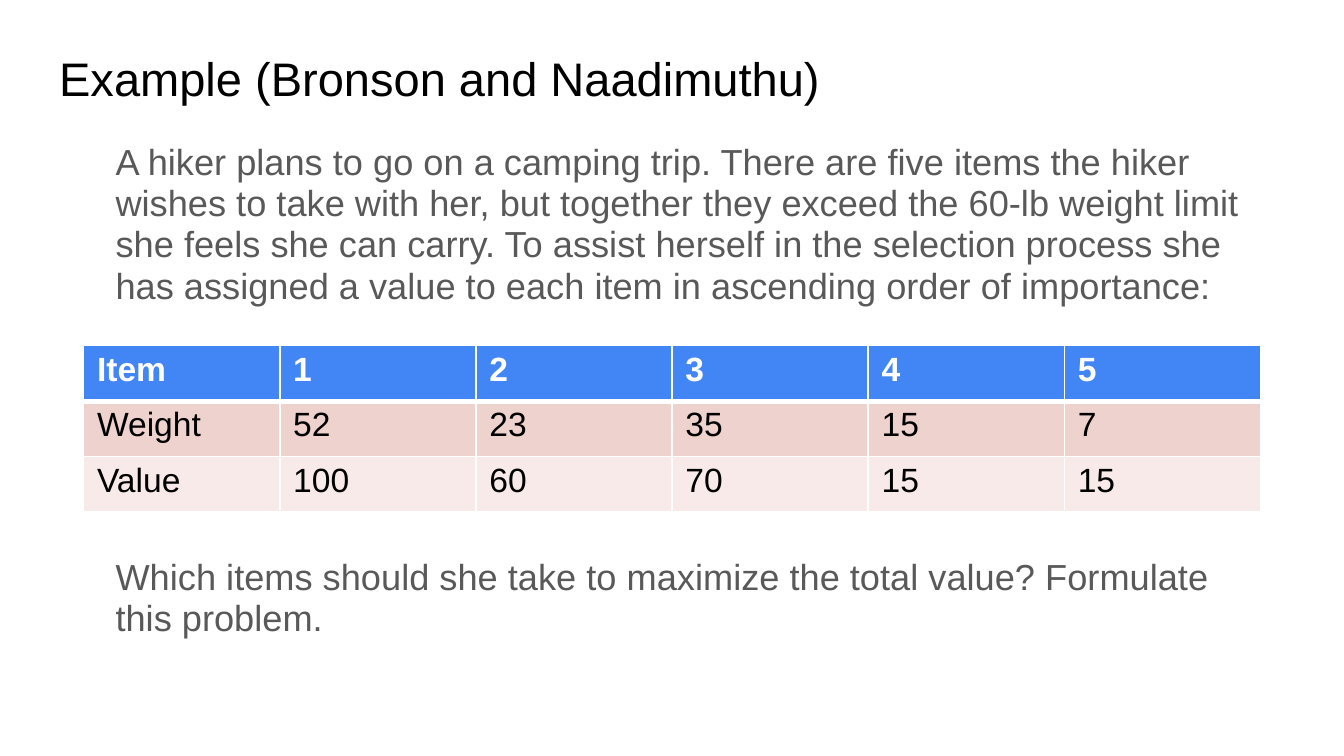
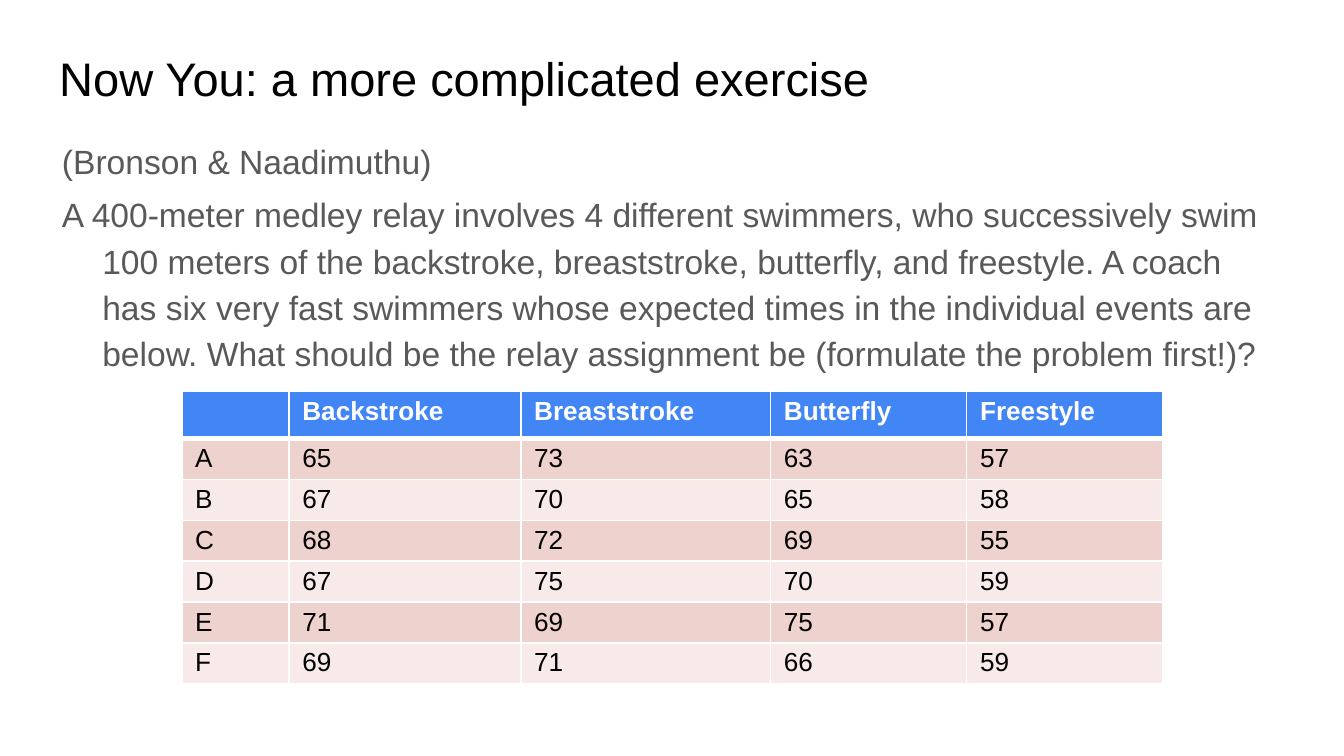
from dataclasses import dataclass

from lxml.etree import SubElement
from pptx import Presentation
from pptx.dml.color import RGBColor
from pptx.enum.text import MSO_ANCHOR, MSO_AUTO_SIZE, PP_ALIGN
from pptx.oxml.ns import qn
from pptx.util import Pt


@dataclass(frozen=True)
class Theme:
    font: str = "Arial"
    ink: str = "000000"
    grey: str = "595959"
    white: str = "FFFFFF"
    head: str = "4285F4"
    bands: tuple[str, str] = ("EED2CE", "F7EAE8")
    title: float = 25.2
    lead: float = 19.4
    text: float = 18
    small: float = 14
    thin: float = 1
    thick: float = 3


THEME = Theme()


@dataclass(frozen=True)
class Box:
    left: float
    top: float
    width: float
    height: float


@dataclass(frozen=True)
class Para:
    text: str
    margin: float
    indent: float = 0
    before: float = 0


@dataclass(frozen=True)
class Body:
    box: Box
    size: float
    line: float
    paras: tuple[Para, ...]


@dataclass(frozen=True)
class Grid:
    left: float
    top: float
    cols: tuple[float, ...]
    head: float
    row: float
    size: float
    cells: tuple[tuple[str, ...], ...]


@dataclass(frozen=True)
class Page:
    title: str
    body: Body
    grid: Grid


TITLE = Box(24.5, 26.6, 671, 33.8)

PAGES = (
    Page(
        "Example (Bronson and Naadimuthu)",
        Body(Box(18.7, 72.7, 669.6, 280.8), THEME.lead, 0.95, (
            Para("A hiker plans to go on a camping trip. There are five items "
                 "the hiker wishes to take with her, but together they exceed "
                 "the 60-lb weight limit she feels she can carry. To assist "
                 "herself in the selection process she has assigned a value to "
                 "each item in ascending order of importance:", 36),
            Para("Which items should she take to maximize the total value? "
                 "Formulate this problem.", 36, before=133.7),
        )),
        Grid(44.8, 185.2, (105.1,) * 6, 29.7, 29.7, THEME.text, (
            ("Item", "1", "2", "3", "4", "5"),
            ("Weight", "52", "23", "35", "15", "7"),
            ("Value", "100", "60", "70", "15", "15"),
        )),
    ),
    Page(
        "Now You: a more complicated exercise",
        Body(Box(26, 68.4, 669.6, 290.9), THEME.text, 1.15, (
            Para("(Bronson & Naadimuthu)", 21.6, -21.6),
            Para("A 400-meter medley relay involves 4 different swimmers, who "
                 "successively swim 100 meters of the backstroke, "
                 "breaststroke, butterfly, and freestyle. A coach has six very "
                 "fast swimmers whose expected times in the individual events "
                 "are below. What should be the relay assignment be (formulate "
                 "the problem first!)?", 21.6, -21.6, 4),
        )),
        Grid(97.4, 209.8, (57.4, 124.2, 133.8, 105.1, 105.1), 25.2, 21.9,
             THEME.small, (
            ("", "Backstroke", "Breaststroke", "Butterfly", "Freestyle"),
            ("A", "65", "73", "63", "57"),
            ("B", "67", "70", "65", "58"),
            ("C", "68", "72", "69", "55"),
            ("D", "67", "75", "70", "59"),
            ("E", "71", "69", "75", "57"),
            ("F", "69", "71", "66", "59"),
        )),
    ),
)


def write(para, text: str, size: float, color: str, bold: bool = False) -> None:
    run = para.add_run()
    run.text = text
    run.font.name = THEME.font
    run.font.size = Pt(size)
    run.font.bold = bold
    run.font.color.rgb = RGBColor.from_string(color)


def place(shape, box: Box, anchor: MSO_ANCHOR):
    """Move a placeholder and return its text frame, ready to fill."""
    shape.left, shape.top = Pt(box.left), Pt(box.top)
    shape.width, shape.height = Pt(box.width), Pt(box.height)
    frame = shape.text_frame
    frame.word_wrap = True
    frame.auto_size = MSO_AUTO_SIZE.NONE
    frame.vertical_anchor = anchor
    frame.margin_left = frame.margin_right = Pt(7.2)
    frame.margin_top = frame.margin_bottom = Pt(3.6)
    return frame


def draw_title(shape, text: str) -> None:
    para = place(shape, TITLE, MSO_ANCHOR.BOTTOM).paragraphs[0]
    para.alignment = PP_ALIGN.LEFT
    write(para, text, THEME.title, THEME.ink)


def draw_body(shape, body: Body) -> None:
    frame = place(shape, body.box, MSO_ANCHOR.TOP)
    for i, item in enumerate(body.paras):
        para = frame.add_paragraph() if i else frame.paragraphs[0]
        para.line_spacing = body.line
        para.space_before = Pt(item.before)
        props = para._p.get_or_add_pPr()
        props.set("marL", str(Pt(item.margin)))
        props.set("indent", str(Pt(item.indent)))
        SubElement(props, qn("a:buNone"))
        write(para, item.text, body.size, THEME.grey)


def edge(cell, row: int) -> None:
    """Draw the cell's white borders, thick below the head row."""
    props = cell._tc.get_or_add_tcPr()
    thick = {0: "lnB", 1: "lnT"}.get(row)
    for i, side in enumerate(("lnL", "lnR", "lnT", "lnB")):
        width = THEME.thick if side == thick else THEME.thin
        line = SubElement(props, qn(f"a:{side}"), w=str(Pt(width)))
        fill = SubElement(line, qn("a:solidFill"))
        SubElement(fill, qn("a:srgbClr"), val=THEME.white)
        props.insert(i, line)


def draw_grid(slide, grid: Grid) -> None:
    count = len(grid.cells)
    height = grid.head + grid.row * (count - 1)
    table = slide.shapes.add_table(
        count, len(grid.cols), Pt(grid.left), Pt(grid.top),
        Pt(sum(grid.cols)), Pt(height)).table
    for col, width in zip(table.columns, grid.cols):
        col.width = Pt(width)
    for r, texts in enumerate(grid.cells):
        head = r == 0
        table.rows[r].height = Pt(grid.head if head else grid.row)
        back = THEME.head if head else THEME.bands[(r - 1) % 2]
        for c, text in enumerate(texts):
            cell = table.cell(r, c)
            cell.margin_left = cell.margin_right = Pt(7.2)
            cell.margin_top = cell.margin_bottom = Pt(2.88)
            cell.fill.solid()
            cell.fill.fore_color.rgb = RGBColor.from_string(back)
            edge(cell, r)
            para = cell.text_frame.paragraphs[0]
            if text:
                write(para, text, grid.size,
                      THEME.white if head else THEME.ink, head)
            else:
                SubElement(para._p, qn("a:endParaRPr"),
                           sz=str(int(grid.size * 100)))


def main() -> None:
    deck = Presentation()
    deck.slide_width, deck.slide_height = Pt(720), Pt(405)
    for page in PAGES:
        slide = deck.slides.add_slide(deck.slide_layouts[1])
        draw_title(slide.shapes.title, page.title)
        draw_body(slide.placeholders[1], page.body)
        draw_grid(slide, page.grid)
    deck.save("out.pptx")


if __name__ == "__main__":
    main()
